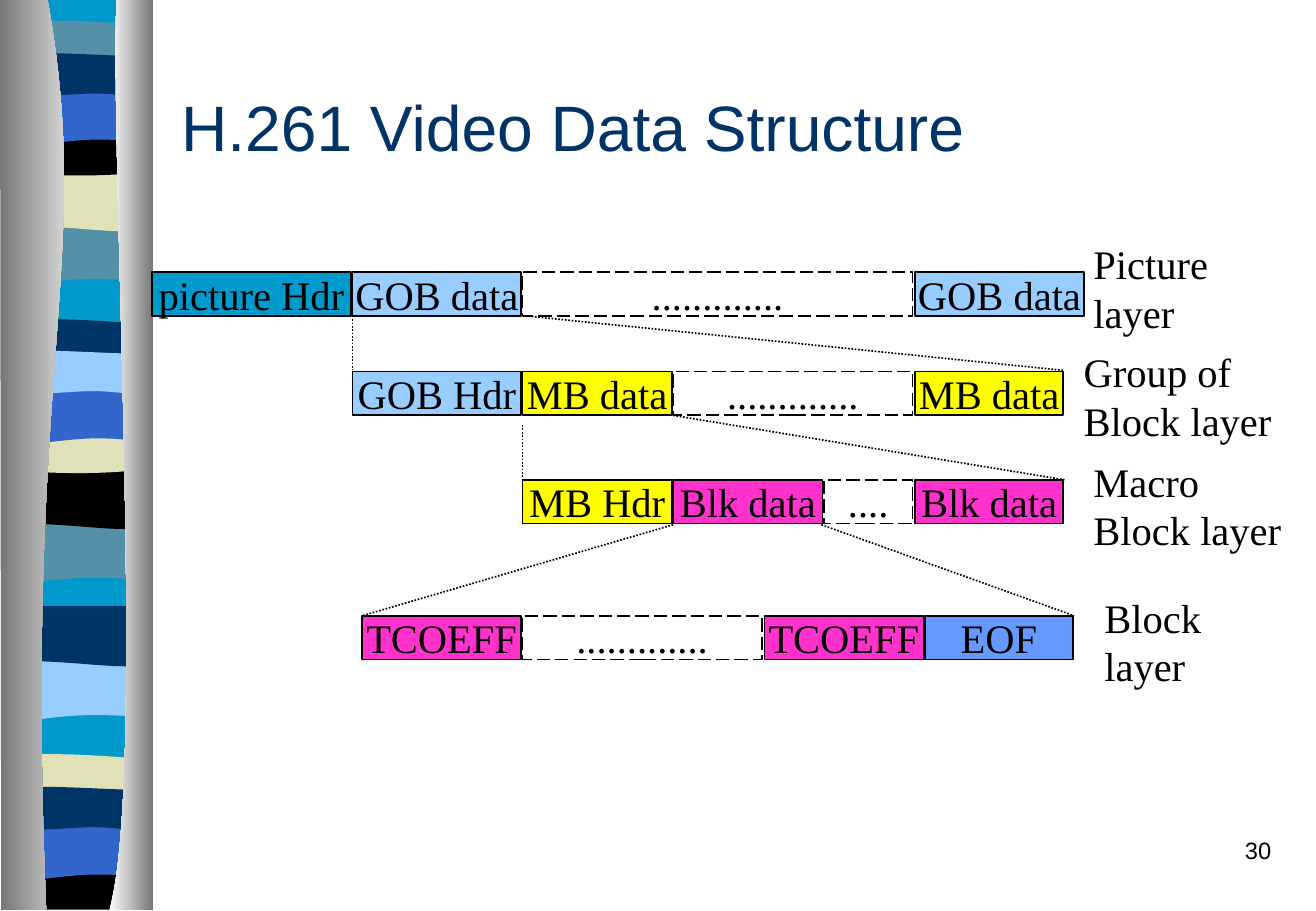
from pptx import Presentation
from pptx.dml.color import RGBColor
from pptx.enum.dml import MSO_LINE
from pptx.enum.shapes import MSO_CONNECTOR, MSO_SHAPE
from pptx.enum.text import MSO_ANCHOR, MSO_AUTO_SIZE, PP_ALIGN
from pptx.oxml.ns import qn
from pptx.util import Inches, Pt

RECT, STRAIGHT = MSO_SHAPE.RECTANGLE, MSO_CONNECTOR.STRAIGHT
DASH, DOT = MSO_LINE.LONG_DASH, MSO_LINE.ROUND_DOT
LEFT, CENTER, RIGHT = PP_ALIGN.LEFT, PP_ALIGN.CENTER, PP_ALIGN.RIGHT
TOP, MIDDLE = MSO_ANCHOR.TOP, MSO_ANCHOR.MIDDLE

HEX = {
    "black": "000000", "white": "FFFFFF", "navy": "003366", "cyan": "0099CC",
    "teal": "5490A8", "sand": "E1E1B7", "blue": "3366CC", "sky": "99CCFF",
    "yellow": "FFFF00", "pink": "FF33CC", "periwinkle": "6699FF", "gray": "767676",
}
C = {name: RGBColor.from_string(value) for name, value in HEX.items()}
SERIF = {"name": "Times New Roman", "size": Pt(24)}


def write(tf, lines, font, color="black", align=LEFT, anchor=TOP):
    tf.vertical_anchor = anchor
    for i, line in enumerate(lines):
        p = tf.paragraphs[0] if i == 0 else tf.add_paragraph()
        p.alignment = align
        r = p.add_run()
        r.text = line
        r.font.color.rgb = C[color]
        for key, value in font.items():
            setattr(r.font, key, value)


def outline(shapes, x, y, steps):
    """Draw a closed shape; a step is a point (2 numbers) or a Bezier curve (6)."""
    points = [(Inches(x + step[i]), Inches(y + step[i + 1]))
              for step in steps for i in range(0, len(step), 2)]
    fb = shapes.build_freeform(*points[0])
    fb.add_line_segments(points[1:], close=True)
    sp = fb.convert_to_shape()
    # Merge the three line segments of each curve into one Bezier segment
    route = sp._element.find(".//" + qn("a:path"))
    segments = iter(list(route))
    for step in steps:
        first = next(segments)
        if len(step) == 6:
            first.tag = qn("a:cubicBezTo")
            for extra in (next(segments), next(segments)):
                first.append(extra[0])
                route.remove(extra)
    sp.shadow.inherit = False
    sp.line.fill.background()
    return sp


prs = Presentation()
prs.slide_width, prs.slide_height = Inches(10.83), Inches(7.5)
s = prs.slides.add_slide(prs.slide_layouts[5])

# Title
title = s.shapes.title
title.left, title.top, title.width, title.height = map(Inches, (1.39, 0.5, 9.21, 1.08))
write(title.text_frame, ["H.261 Video Data Structure"],
      {"name": "Arial", "size": Pt(38)}, "navy", LEFT, MIDDLE)

# Striped band: outlines relative to the top left corner of a stripe
WAVES = {
    "base": [(1.17, 0), (1.17, 7.48), (0, 7.48), (0, 0)],
    "swell": [(1.17, 0), (1.17, 0.47), (0.36, 0.39, 0.2, 0.55, 0, 0.47), (0, 0)],
    "dip": [(1.17, 0), (1.17, 0.47), (0.98, 0.55, 0.36, 0.41, 0, 0.47), (0, 0)],
    "lens": [(1.17, 0), (1.17, 0.24), (0.98, 0.28, 0.2, 0.28, 0, 0.24), (0, 0),
             (0.08, -0.05, 0.26, -0.04, 0.45, -0.04), (0.65, -0.04, 1.02, -0.01, 1.17, 0)],
    "bowl": [(1.17, 0), (1.17, 0.32), (0.98, 0.38, 0.2, 0.38, 0, 0.32), (0, 0),
             (0.72, 0.05, 0.93, 0, 1.17, 0)],
    "foot": [(1.17, 0), (1.17, 0.37), (0, 0.37), (0, 0), (0.72, 0.05, 0.93, 0, 1.17, 0)],
    "arch": [(1.17, 0), (1.17, 0.47), (0.99, 0.41, 0.92, 0.41, 0.72, 0.41),
             (0.53, 0.41, 0.18, 0.47, 0, 0.47), (0, 0)],
    "ripple": [(1.17, 0), (1.17, 0.31), (1.1, 0.36, 0.92, 0.31, 0.72, 0.31),
               (0.53, 0.31, 0.12, 0.36, 0, 0.31), (0, 0),
               (0.17, -0.05, 0.8, 0, 0.99, 0), (1.19, 0, 1.14, 0, 1.17, 0)],
}
STRIPES = [
    ("base", 0.06, -0.01, "cyan"),
    ("swell", 0.06, 1.85, "teal"), ("dip", 0.06, 1.41, "sand"),
    ("lens", 0.06, 0.21, "teal"), ("bowl", 0.06, 1.08, "black"),
    ("arch", 0.06, 0.74, "blue"), ("ripple", 0.06, 0.46, "navy"),
    ("swell", 0.05, 4.31, "teal"), ("dip", 0.05, 3.86, "black"),
    ("lens", 0.05, 2.67, "navy"), ("bowl", 0.05, 3.53, "sand"),
    ("arch", 0.05, 3.2, "blue"), ("ripple", 0.05, 2.91, "sky"),
    ("swell", 0.06, 5.44, "sky"), ("dip", 0.06, 4.99, "navy"),
    ("lens", 0.05, 6.25, "sand"), ("foot", 0.05, 7.12, "black"),
    ("arch", 0.05, 6.79, "blue"), ("ripple", 0.05, 6.5, "navy"),
]
band = s.shapes.add_group_shape().shapes
for wave, x, y, color in STRIPES:
    sp = outline(band, x, y, WAVES[wave])
    sp.fill.solid()
    sp.fill.fore_color.rgb = C[color]

# Curtains on both sides of the stripes
CURTAINS = [
    ([(0.39, -0.01), (0.78, 2.16, 0.19, 2.96, 0.38, 7.49), (0.01, 7.49), (0, -0.01)],
     ("gray", "white")),
    ([(0.96, -0.01), (0.9, 1.25, 1.21, 6.46, 0.9, 7.49), (1.26, 7.49), (1.26, 0)],
     ("white", "gray")),
]
for steps, colors in CURTAINS:
    sp = outline(band, 0, 0, steps)
    sp.fill.gradient()
    sp.fill.gradient_angle = 0
    for stop, position, color in zip(sp.fill.gradient_stops, (0, 1), colors):
        stop.position = position
        stop.color.rgb = C[color]

# Layers: top, boxes (left, width, text, colour), label (left, top, width, lines)
LAYERS = [
    (2.24, [(1.25, 1.64, "picture Hdr", "cyan"), (2.9, 1.39, "GOB data", "sky"),
            (4.3, 3.21, ".............", "white"), (7.53, 1.39, "GOB data", "sky")],
     (8.9, 1.92, 1.15, ["Picture", "layer"])),
    (3.06, [(2.9, 1.39, "GOB Hdr", "sky"), (5.54, 1.97, ".............", "white"),
            (4.3, 1.23, "MB data", "yellow"), (7.53, 1.22, "MB data", "yellow")],
     (8.82, 2.81, 1.75, ["Group of", "Block layer"])),
    (3.95, [(4.3, 1.23, "MB Hdr", "yellow"), (5.54, 1.23, "Blk data", "pink"),
            (6.78, 0.73, "....", "white"), (7.53, 1.22, "Blk data", "pink")],
     (8.9, 3.71, 1.75, ["Macro", "Block layer"])),
    (5.07, [(2.98, 1.31, "TCOEFF", "pink"), (4.3, 1.97, ".............", "white"),
            (6.29, 1.31, "TCOEFF", "pink"), (7.61, 1.22, "EOF", "periwinkle")],
     (8.99, 4.83, 1, ["Block", "layer"])),
]
diagram = s.shapes.add_group_shape().shapes
for top, boxes, (label_left, label_top, label_width, lines) in LAYERS:
    for left, width, text, color in boxes:
        sp = diagram.add_shape(RECT, *map(Inches, (left, top, width, 0.36)))
        sp.shadow.inherit = False
        sp.fill.solid()
        sp.fill.fore_color.rgb = C[color]
        sp.line.color.rgb = C["black"]
        sp.line.width = Pt(1)
        if color == "white":
            sp.line.dash_style = DASH
        sp.text_frame.word_wrap = False
        write(sp.text_frame, [text], SERIF, align=CENTER, anchor=MIDDLE)
    tb = diagram.add_textbox(*map(Inches, (label_left, label_top, label_width, 0.9)))
    tb.text_frame.word_wrap = False
    tb.text_frame.auto_size = MSO_AUTO_SIZE.SHAPE_TO_FIT_TEXT
    write(tb.text_frame, lines, SERIF)

# Dotted lines that open a block into the layer below
ZOOM_LINES = [
    (2.9, 2.6, 2.9, 3.05), (4.32, 2.6, 8.76, 3.05),
    (4.3, 3.5, 4.3, 3.95), (5.54, 3.42, 8.76, 3.95),
    (5.54, 4.32, 2.98, 5.07), (6.76, 4.32, 8.84, 5.07),
]
for ends in ZOOM_LINES:
    cx = diagram.add_connector(STRAIGHT, *map(Inches, ends))
    cx.line.color.rgb = C["black"]
    cx.line.width = Pt(1)
    cx.line.dash_style = DOT
    sp_pr = cx._element.spPr
    sp_pr.append(sp_pr.makeelement(qn("a:effectLst"), {}))

# Slide number
tb = s.shapes.add_textbox(*map(Inches, (8.3, 6.83, 2.26, 0.5)))
tb.text_frame.word_wrap = True
write(tb.text_frame, ["30"], {"name": "Arial", "size": Pt(14)}, align=RIGHT)

prs.save("out.pptx")
